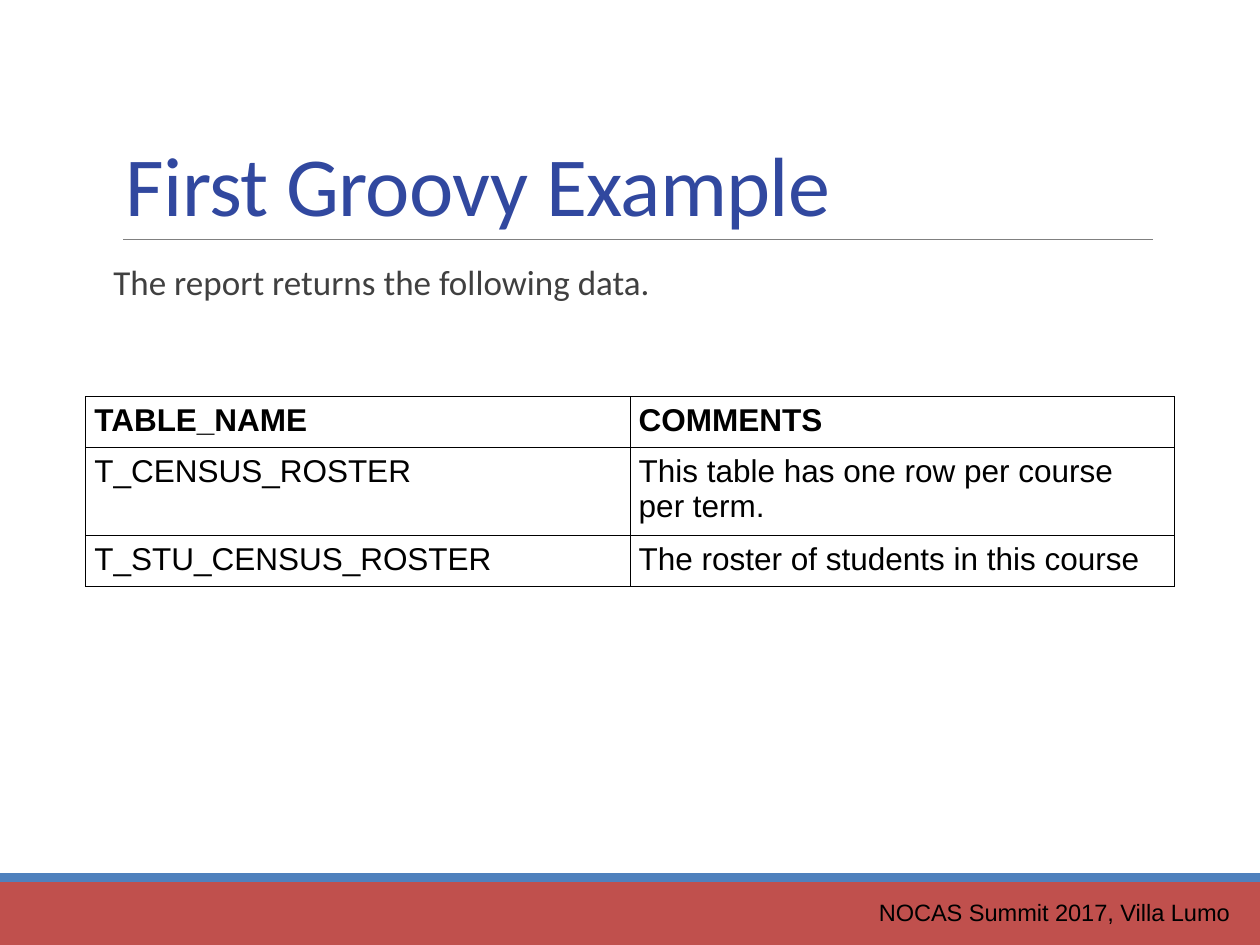
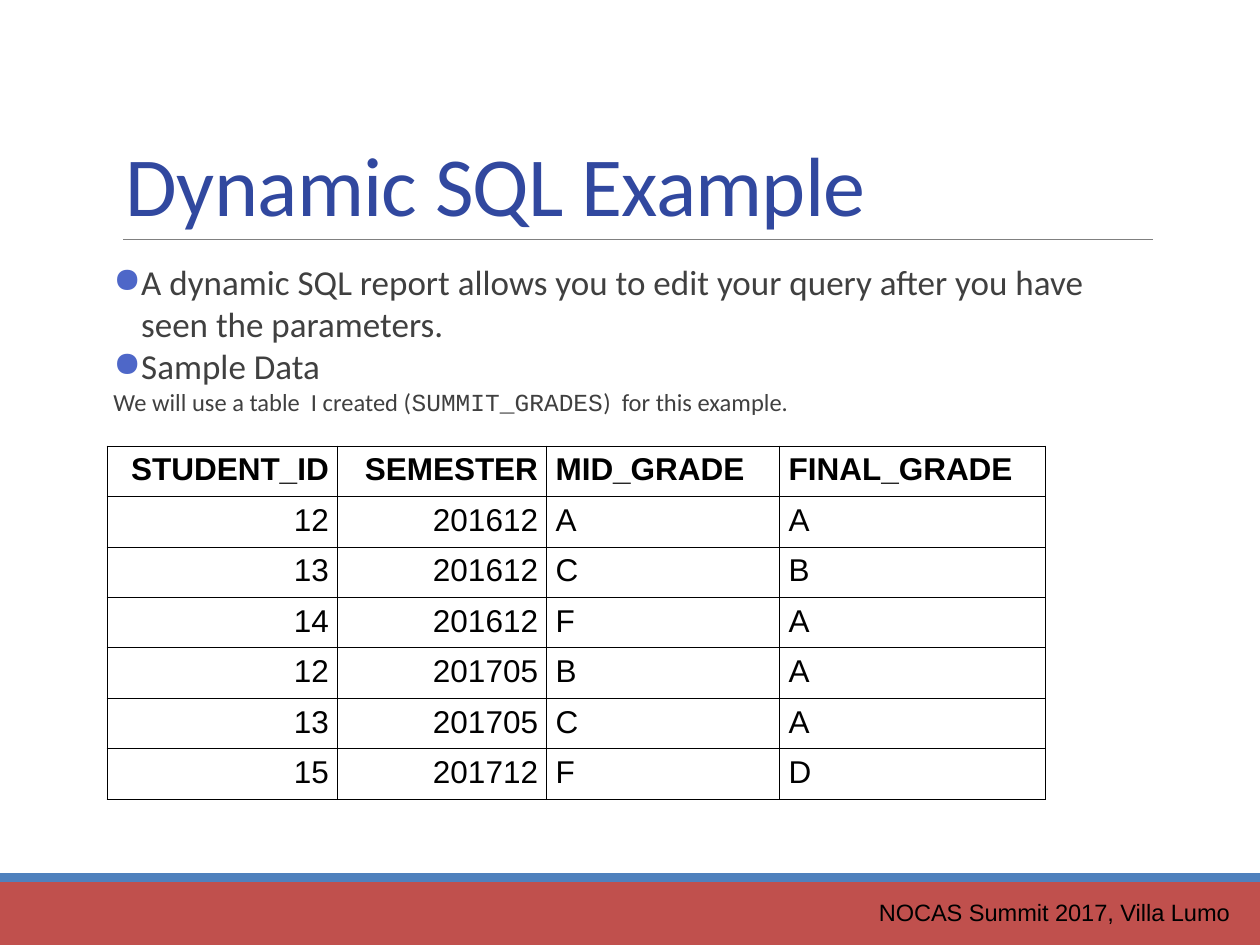
import pptx
import pptx.util
import pptx.dml.color
import pptx.enum.text
import pptx.enum.shapes
import pptx.oxml.ns
import lxml.etree

HUES = {"red": "C0504D", "blue": "4F81BD", "rule": "808080", "title": "31489F",
        "body": "404040", "dot": "4E67C8", "ink": "000000"}
FOOT = "NOCAS Summit 2017, Villa Lumo"
PAGES = [
    {"title": "First Groovy Example",
     "body": [{"runs": ["The report returns the following data."]}],
     "spot": (0.68, 3.15), "cols": [4.32, 4.32], "high": {1: 0.66}, "right": (),
     "rows": [("TABLE_NAME", "COMMENTS"),
              ("T_CENSUS_ROSTER", "This table has one row per course per term."),
              ("T_STU_CENSUS_ROSTER", "The roster of students in this course")]},
    {"title": "Dynamic SQL Example",
     "body": [{"runs": ["A dynamic SQL report allows you to edit your query "
                        "after you have seen the parameters."], "dot": True},
              {"runs": ["Sample Data"], "dot": True},
              {"runs": ["We will use a table  I created (",
                        ("SUMMIT_GRADES", "Courier New"),
                        ")  for this example."], "size": 14}],
     "spot": (0.85, 3.54), "cols": [1.83, 1.66, 1.85, 2.11], "high": {}, "right": (0, 1),
     "rows": [("STUDENT_ID", "SEMESTER", "MID_GRADE", "FINAL_GRADE"),
              ("12", "201612", "A", "A"),
              ("13", "201612", "C", "B"),
              ("14", "201612", "F", "A"),
              ("12", "201705", "B", "A"),
              ("13", "201705", "C", "A"),
              ("15", "201712", "F", "D")]},
]
COLS, ROWS = 10, 7.5
ROW = 0.38
BAND = 7
STRIPE = 0.07
LEFT, RIGHT, RULE = 0.9, 9.15, 1.9

deck = pptx.Presentation()
deck.slide_width = pptx.util.Inches(10)
deck.slide_height = pptx.util.Inches(7.5)
UNIT = deck.slide_width / COLS
ALIGN = pptx.enum.text.PP_ALIGN
ANCHOR = pptx.enum.text.MSO_ANCHOR


def grid(*cells):
    return [round(c * UNIT) for c in cells]


def tint(name):
    return pptx.dml.color.RGBColor.from_string(HUES[name])


def node(host, tag, **attrs):
    kid = lxml.etree.SubElement(host, pptx.oxml.ns.qn("a:" + tag))
    for key, val in attrs.items():
        kid.set(key, str(val))
    return kid


def paint(host, name):
    node(node(host, "solidFill"), "srgbClr", val=HUES[name])


def write(frame, paras, size=18, font="Arial", hue="ink", bold=False, align=ALIGN.LEFT,
          space=None, track=None, inset=0.1, anchor=ANCHOR.TOP):
    frame.word_wrap = True
    frame.vertical_anchor = anchor
    frame.margin_left, frame.margin_right = grid(inset, inset)
    frame.margin_top, frame.margin_bottom = grid(0.05, 0.05)
    for i, item in enumerate(paras):
        para = frame.paragraphs[0] if i == 0 else frame.add_paragraph()
        para.alignment = align
        para.line_spacing = space
        if item.get("dot"):
            props = para._p.get_or_add_pPr()
            hang = grid(0.22)[0]
            props.set("marL", str(hang))
            props.set("indent", str(-hang))
            node(node(props, "buClr"), "srgbClr", val=HUES["dot"])
            node(props, "buChar", char="●")
        for part in item["runs"]:
            words, face = (part, font) if isinstance(part, str) else part
            run = para.add_run()
            run.text = words
            run.font.name = face
            run.font.size = pptx.util.Pt(item.get("size", size))
            run.font.bold = bold
            run.font.color.rgb = tint(hue)
            if track:
                run._r.get_or_add_rPr().set("spc", str(track))


def label(slide, box, paras, **style):
    write(slide.shapes.add_textbox(*grid(*box)).text_frame, paras, **style)


def frame(slide, title):
    for top, tall, hue in ((BAND, ROWS - BAND, "red"), (BAND - STRIPE, STRIPE, "blue")):
        bar = slide.shapes.add_shape(pptx.enum.shapes.MSO_SHAPE.RECTANGLE,
                                     *grid(0, top, COLS, tall))
        bar.shadow.inherit = False
        bar.fill.solid()
        bar.fill.fore_color.rgb = tint(hue)
        bar.line.fill.background()
    rule = slide.shapes.add_connector(pptx.enum.shapes.MSO_CONNECTOR.STRAIGHT,
                                      *grid(0.98, RULE, RIGHT, RULE))
    rule.line.color.rgb = tint("rule")
    rule.line.width = pptx.util.Pt(0.5)
    node(rule._element.spPr, "effectLst")
    label(slide, (LEFT, 0.31, RIGHT - LEFT, RULE - 0.31), [{"runs": [title]}], size=48,
          font="Calibri", hue="title", space=0.85, track=-40, anchor=ANCHOR.BOTTOM)
    label(slide, (6.74, 7.08, 3.12, 0.32), [{"runs": [FOOT]}], size=13.5,
          align=ALIGN.RIGHT)


def table(slide, page):
    rows, cols = page["rows"], page["cols"]
    highs = [page["high"].get(r, ROW) for r in range(len(rows))]
    box = grid(*page["spot"], sum(cols), sum(highs))
    sheet = slide.shapes.add_table(len(rows), len(cols), *box).table
    sheet.first_row = sheet.horz_banding = False
    for col, wide in zip(sheet.columns, grid(*cols)):
        col.width = wide
    for row, tall in zip(sheet.rows, grid(*highs)):
        row.height = tall
    for r, line in enumerate(rows):
        for c, words in enumerate(line):
            cell = sheet.cell(r, c)
            write(cell.text_frame, [{"runs": [words]}], bold=r == 0,
                  align=ALIGN.RIGHT if c in page["right"] else ALIGN.LEFT)
            cell.margin_left, cell.margin_right = grid(0.07, 0.07)
            cell.margin_top, cell.margin_bottom = grid(0.05, 0.05)
            props = cell._tc.get_or_add_tcPr()
            for side in "LRTB":
                paint(node(props, "ln" + side, w=pptx.util.Pt(0.57)), "ink")
            cell.fill.background()


def main():
    for page in PAGES:
        slide = deck.slides.add_slide(deck.slide_layouts[6])
        frame(slide, page["title"])
        label(slide, (LEFT, 2.02, RIGHT - LEFT, 4.4), page["body"], size=20,
              font="Calibri", hue="body", inset=0)
        table(slide, page)
    deck.save("out.pptx")


if __name__ == "__main__":
    main()
